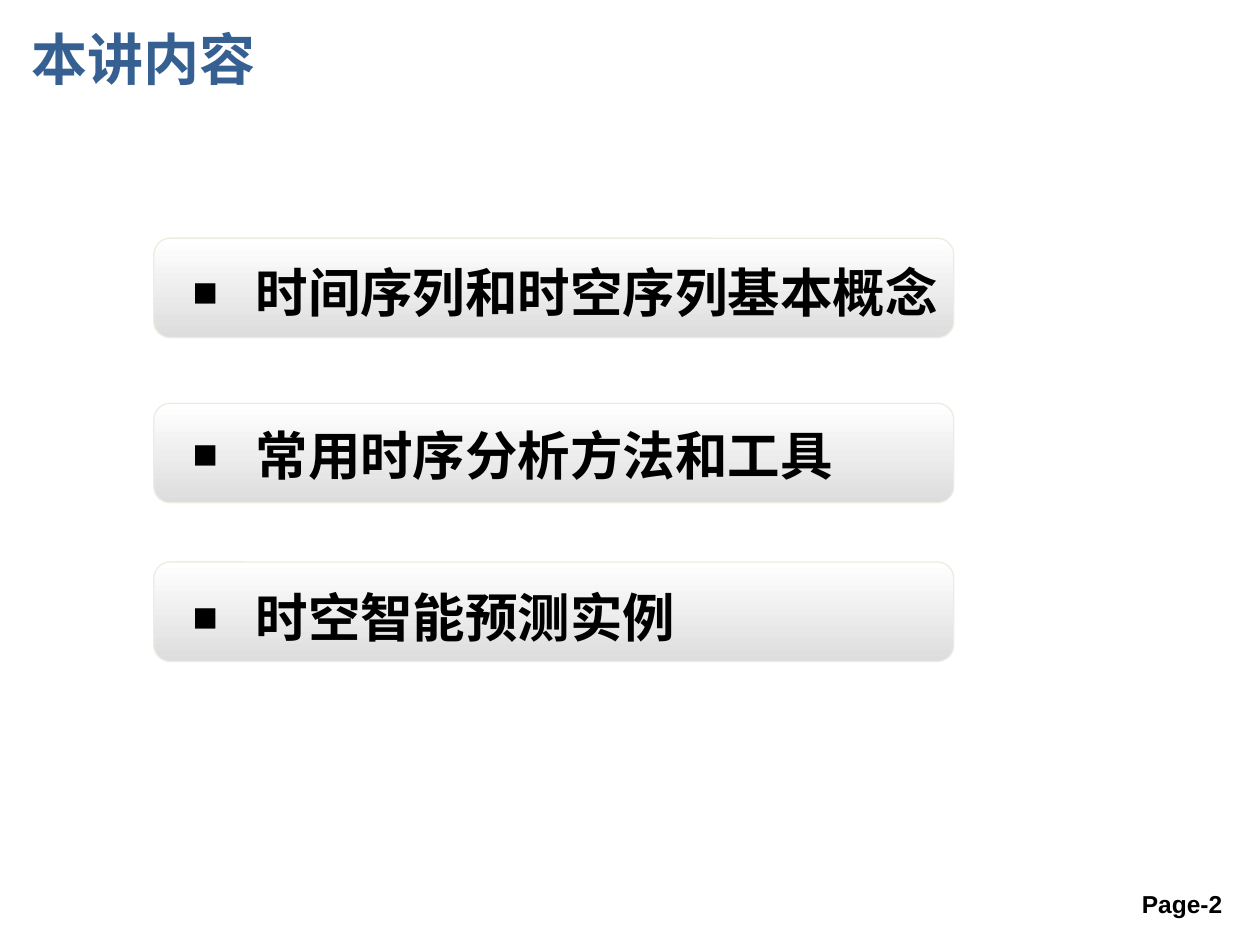
from lxml.etree import SubElement
from pptx import Presentation
from pptx.dml.color import RGBColor
from pptx.enum.shapes import MSO_SHAPE
from pptx.enum.text import MSO_ANCHOR, MSO_AUTO_SIZE, PP_ALIGN
from pptx.oxml.ns import qn
from pptx.util import Inches, Pt

TITLE = "本讲内容"
TOPICS = [
    ("时间序列和时空序列基本概念", 1.89),
    ("常用时序分析方法和工具", 3.2),
    ("时空智能预测实例", 4.46),
]
PAGE_LABEL = "Page-2"

COLORS = {
    "title": "376092",
    "text": "000000",
    "bar_top": "FFFFFF",
    "bar_bottom": "DDDDDD",
    "bar_line": "EEECE1",
}
CJK_FONT = "Noto Sans CJK SC"
BAR_LEFT, BAR_WIDTH, BAR_HEIGHT = 1.22, 6.35, 0.79
TOPIC_LEFT, TOPIC_WIDTH, TOPIC_HEIGHT = 1.43, 6.14, 0.91
FIRST_TOPIC_TOP, TOPIC_STEP = 1.71, 1.29


def color(name):
    return RGBColor.from_string(COLORS[name])


def place(shape, left, top, width, height):
    shape.left, shape.top = Inches(left), Inches(top)
    shape.width, shape.height = Inches(width), Inches(height)


def write(shape, text, size, color_name, font_name, align, spacing=None, bullet=None):
    frame = shape.text_frame
    frame.word_wrap = True
    frame.vertical_anchor = MSO_ANCHOR.MIDDLE
    frame.text = text
    paragraph = frame.paragraphs[0]
    paragraph.alignment = align
    if spacing:
        frame.auto_size = MSO_AUTO_SIZE.SHAPE_TO_FIT_TEXT
        paragraph.line_spacing = spacing
    if bullet:
        properties = paragraph._p.get_or_add_pPr()
        properties.set("marL", str(Inches(0.5)))
        properties.set("indent", str(-Inches(0.5)))
        SubElement(properties, qn("a:buSzPct"), val="80000")
        SubElement(properties, qn("a:buFont"), typeface="Arial")
        SubElement(properties, qn("a:buChar"), char=bullet)
    font = paragraph.font
    font.size, font.bold = Pt(size), True
    font.color.rgb = color(color_name)
    font.name = font_name
    SubElement(font._element, qn("a:ea"), typeface=font_name)


def add_bar(slide, top):
    bar = slide.shapes.add_shape(
        MSO_SHAPE.ROUNDED_RECTANGLE,
        Inches(BAR_LEFT), Inches(top), Inches(BAR_WIDTH), Inches(BAR_HEIGHT),
    )
    bar.shadow.inherit = False
    bar.fill.gradient()
    bar.fill.gradient_angle = 270
    for stop, name in zip(bar.fill.gradient_stops, ("bar_top", "bar_bottom")):
        stop.color.rgb = color(name)
    bar.line.color.rgb = color("bar_line")
    bar.line.width = Pt(0.75)


def add_text_box(slide, left, top, width, height):
    return slide.shapes.add_textbox(Inches(left), Inches(top), Inches(width), Inches(height))


def main():
    presentation = Presentation()
    presentation.slide_width, presentation.slide_height = Inches(10), Inches(7.5)
    slide = presentation.slides.add_slide(presentation.slide_layouts[5])

    title = slide.shapes.title
    place(title, 0.15, -0.12, 9.6, 0.85)
    write(title, TITLE, 32, "title", CJK_FONT, PP_ALIGN.LEFT, spacing=1.6)

    for row, (topic, bar_top) in enumerate(TOPICS):
        add_bar(slide, bar_top)
        box = add_text_box(
            slide, TOPIC_LEFT, FIRST_TOPIC_TOP + row * TOPIC_STEP, TOPIC_WIDTH, TOPIC_HEIGHT
        )
        write(box, topic, 30, "text", CJK_FONT, PP_ALIGN.LEFT, spacing=1.6, bullet="■")

    page_box = add_text_box(slide, 7.47, 6.97, 2.33, 0.4)
    write(page_box, PAGE_LABEL, 14, "text", "Arial", PP_ALIGN.RIGHT)

    presentation.save("out.pptx")


if __name__ == "__main__":
    main()
